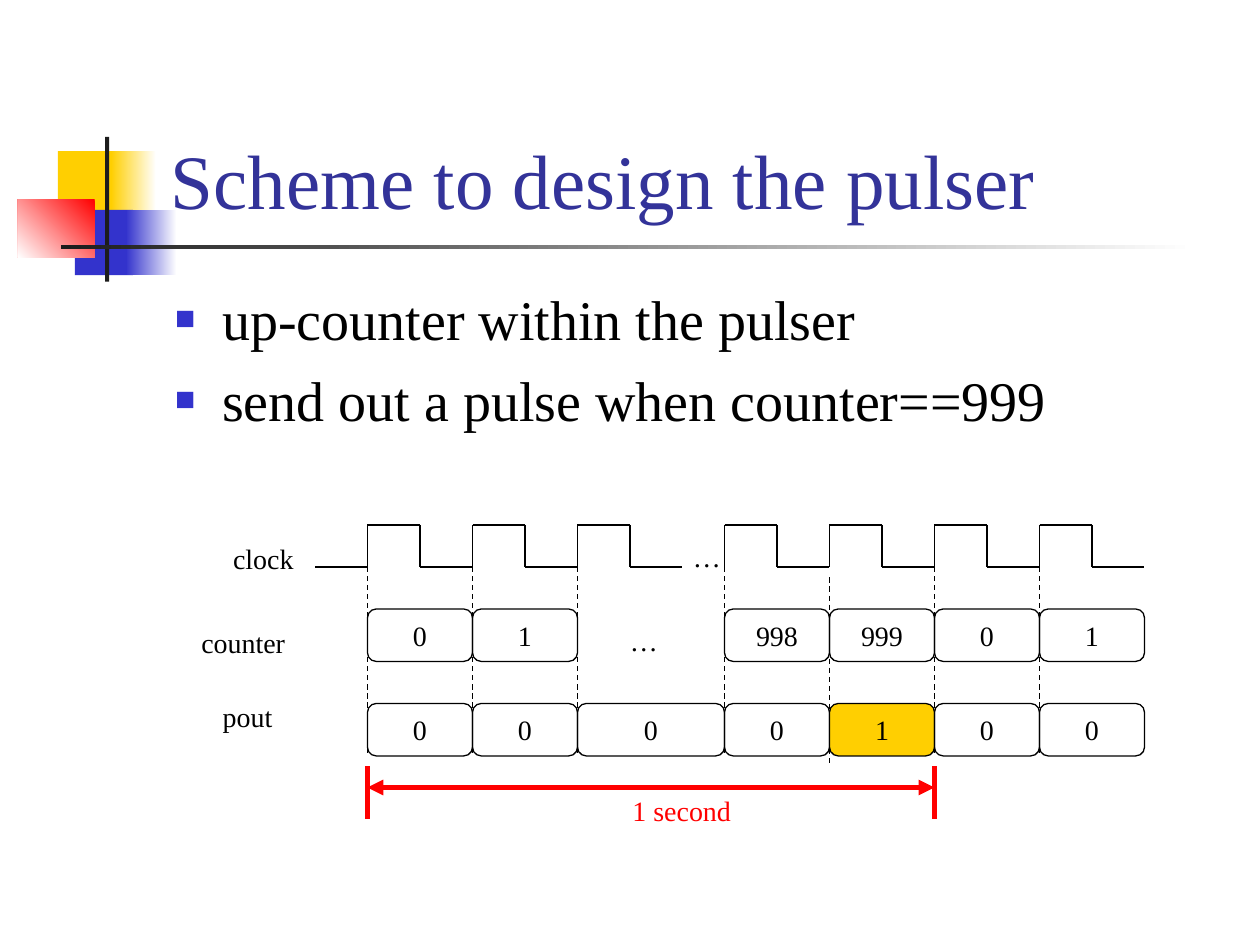
from lxml import etree
from pptx import Presentation
from pptx import util as u
from pptx.dml.color import RGBColor
from pptx.enum import dml, shapes, text
from pptx.oxml.ns import qn

HUES = {
    "gold": "FFCF01", "blue": "3333CC", "red": "FF0000", "dark": "1C1C1C",
    "white": "FFFFFF", "black": "000000", "title": "333399",
}
FONT = "Times New Roman"

# Clock grid: all parts of the diagram sit on steps of 1/12 inch
STEP = 2.54 / 12
HALF = 5
EDGES = [35, 45, 55, 69, 79, 89, 99]
END = 109
HIGH, LOW = 50, 54
COUNTS = ["0", "1", None, "998", "999", "0", "1"]
PULSES = ["0", "0", "0", "0", "1", "0", "0"]


def hue(name):
    return RGBColor.from_string(HUES[name])


def grid(num):
    return u.Cm(num * STEP)


def write(para, words, size, color="black"):
    run = para.add_run()
    run.text = words
    run.font.name = FONT
    run.font.size = u.Pt(size)
    run.font.color.rgb = hue(color)


def block(slide, box, first, last=None, angle=0):
    """Plain bar, or a gradient one when a last colour is given."""
    bar = slide.shapes.add_shape(
        shapes.MSO_SHAPE.RECTANGLE, *[u.Cm(num) for num in box])
    bar.shadow.inherit = False
    bar.line.fill.background()
    if last:
        bar.fill.gradient()
        bar.fill.gradient_angle = angle
        for stop, name in zip(bar.fill.gradient_stops, (first, last)):
            stop.color.rgb = hue(name)
    else:
        bar.fill.solid()
        bar.fill.fore_color.rgb = hue(first)


def line(slide, start, end, color="black", width=0.75, dash=False, tips=False):
    link = slide.shapes.add_connector(
        shapes.MSO_CONNECTOR.STRAIGHT, *[grid(num) for num in start + end])
    link.line.color.rgb = hue(color)
    link.line.width = u.Pt(width)
    if dash:
        link.line.dash_style = dml.MSO_LINE.DASH
    props = link.element.spPr
    if tips:
        for tag in ("a:headEnd", "a:tailEnd"):
            etree.SubElement(props.find(qn("a:ln")), qn(tag), type="triangle")
    etree.SubElement(props, qn("a:effectLst"))


def wave(slide, spots):
    for start, end in zip(spots, spots[1:]):
        line(slide, start, end)


def cell(slide, left, top, width, words, fill=None):
    box = slide.shapes.add_shape(
        shapes.MSO_SHAPE.ROUNDED_RECTANGLE,
        grid(left), grid(top), grid(width), grid(HALF))
    box.shadow.inherit = False
    if fill:
        box.fill.solid()
        box.fill.fore_color.rgb = hue(fill)
    else:
        box.fill.background()
    box.line.color.rgb = hue("black")
    box.line.width = u.Pt(0.75)
    frame = box.text_frame
    frame.word_wrap = False
    frame.vertical_anchor = text.MSO_ANCHOR.MIDDLE
    frame.paragraphs[0].alignment = text.PP_ALIGN.CENTER
    write(frame.paragraphs[0], words, 16)


def label(slide, left, top, width, words, color="black"):
    box = slide.shapes.add_textbox(
        u.Cm(left), u.Cm(top), u.Cm(width), u.Cm(0.94))
    frame = box.text_frame
    frame.word_wrap = False
    frame.auto_size = text.MSO_AUTO_SIZE.SHAPE_TO_FIT_TEXT
    write(frame.paragraphs[0], words, 16, color)


def decor(slide):
    block(slide, (1.17, 3.05, 1.22, 1.32), "gold")
    block(slide, (2.24, 3.05, 0.91, 1.32), "white", "gold", 180)
    block(slide, (1.51, 4.23, 1.17, 1.32), "blue")
    block(slide, (2.54, 4.23, 1.02, 1.32), "white", "blue", 180)
    block(slide, (0.36, 4.02, 1.55, 1.17), "red", "white", 225)
    block(slide, (2.12, 2.76, 0.08, 2.92), "dark")
    block(slide, (1.23, 4.94, 22.86, 0.09), "white", "dark", 180)


def head(slide, words):
    title = slide.shapes.title
    title.left, title.top = u.Cm(3.19), u.Cm(0.6)
    title.width, title.height = u.Cm(21.64), u.Cm(4.06)
    frame = title.text_frame
    frame.auto_size = text.MSO_AUTO_SIZE.NONE
    frame.vertical_anchor = text.MSO_ANCHOR.BOTTOM
    frame.paragraphs[0].alignment = text.PP_ALIGN.LEFT
    write(frame.paragraphs[0], words, 44, "title")
    # Keep the title in front of the coloured squares
    title.element.getparent().append(title.element)


def points(slide, items):
    box = slide.shapes.add_textbox(
        u.Cm(3.28), u.Cm(5.61), u.Cm(21.59), u.Cm(3.28))
    frame = box.text_frame
    frame.word_wrap = True
    for num, words in enumerate(items):
        para = frame.add_paragraph() if num else frame.paragraphs[0]
        props = para._p.get_or_add_pPr()
        props.set("marL", str(u.Cm(0.95)))
        props.set("indent", str(-u.Cm(0.95)))
        if num:
            para.space_before = u.Pt(8)
        color = etree.SubElement(props, qn("a:buClr"))
        etree.SubElement(color, qn("a:srgbClr"), val=HUES["blue"])
        etree.SubElement(props, qn("a:buSzPct"), val="60000")
        etree.SubElement(props, qn("a:buFont"), typeface=FONT)
        etree.SubElement(props, qn("a:buChar"), char="■")
        write(para, words, 32)


def clock(slide):
    line(slide, (30, LOW), (EDGES[0], LOW))
    for num, left in enumerate(EDGES):
        mid = left + HALF
        wave(slide, [(left, LOW), (left, HIGH), (mid, HIGH),
                     (mid, LOW), (mid + HALF, LOW)])
        drop = 1 if num == 4 else 0
        line(slide, (left, LOW + drop), (left, 72 + drop), dash=True)


def rows(slide):
    ends = EDGES[1:] + [END]
    for left, end, count, pulse in zip(EDGES, ends, COUNTS, PULSES):
        if count:
            cell(slide, left, 58, end - left, count)
        cell(slide, left, 67, end - left, pulse,
             "gold" if pulse == "1" else None)


def span(slide):
    left, right = EDGES[0], EDGES[5]
    for side in (left, right):
        line(slide, (side, 73), (side, 78), "red", 3)
    line(slide, (left, 75), (right, 75), "red", 3, tips=True)
    label(slide, 12.5, 15.88, 2.54, "1 second", "red")


def main():
    deck = Presentation()
    deck.slide_width, deck.slide_height = u.Cm(25.4), u.Cm(19.05)
    slide = deck.slides.add_slide(deck.slide_layouts[5])

    # Frame and wording
    decor(slide)
    head(slide, "Scheme to design the pulser")
    points(slide, ["up-counter within the pulser",
                   "send out a pulse when counter==999"])

    # Timing diagram
    clock(slide)
    rows(slide)
    span(slide)
    for spot in [(4.45, 10.8, 1.8, "clock"), (3.81, 12.48, 2.3, "counter"),
                 (4.24, 13.97, 1.56, "pout"), (13.72, 10.76, 1.07, "…"),
                 (12.45, 12.45, 1.07, "…")]:
        label(slide, *spot)

    deck.save("out.pptx")


if __name__ == "__main__":
    main()
